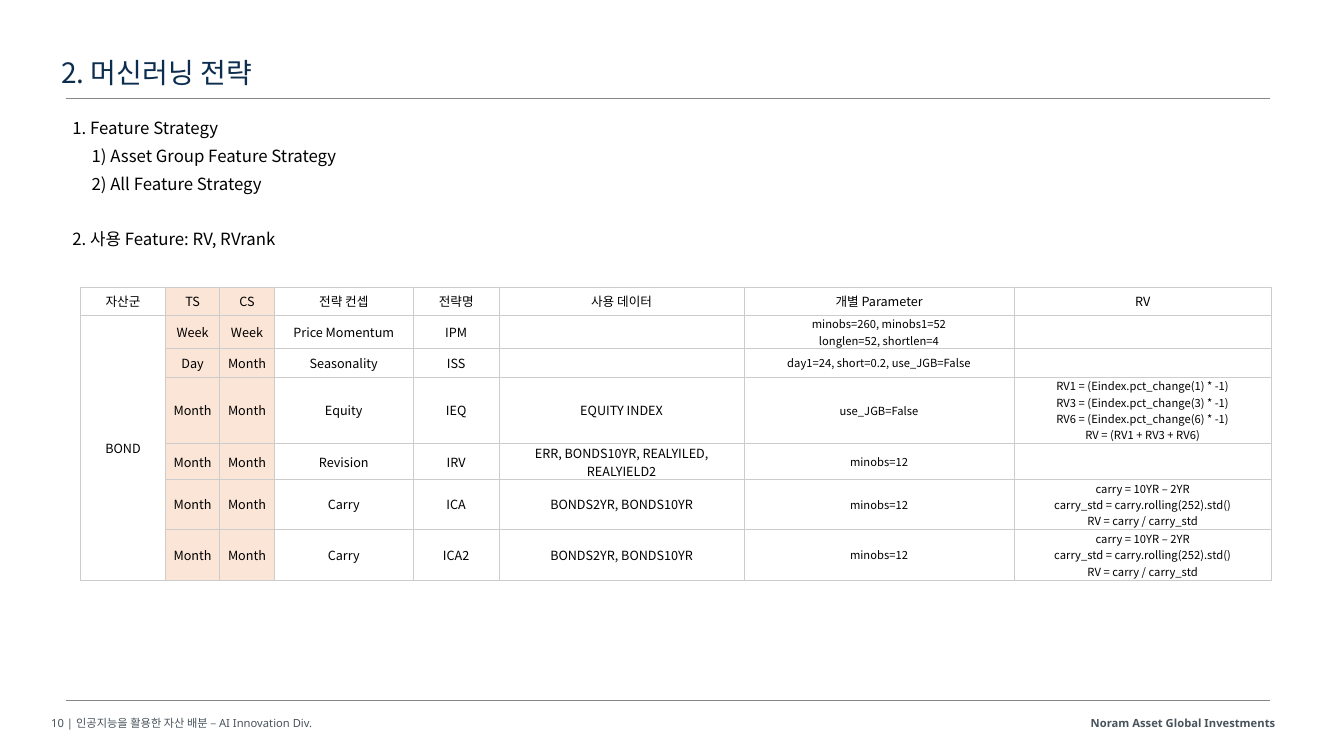
from lxml.etree import SubElement
from pptx import Presentation
from pptx.dml.color import RGBColor
from pptx.enum.shapes import MSO_CONNECTOR
from pptx.enum.text import MSO_ANCHOR, PP_ALIGN
from pptx.oxml.ns import qn
from pptx.util import Inches, Pt

TITLE = "2. 머신러닝 전략"
OUTLINE = [  # text, indent in inches, space before in points
    ("1. Feature Strategy", 0, 6.6),
    ("1) Asset Group Feature Strategy", 0.19, 6.6),
    ("2) All Feature Strategy", 0.19, 6.6),
    ("2. 사용 Feature: RV, RVrank", 0, 26.4),
]
FOOTER = "10 | 인공지능을 활용한 자산 배분 – AI Innovation Div."
COMPANY = "Noram Asset Global Investments"

CARRY_RV = "carry = 10YR – 2YR\ncarry_std = carry.rolling(252).std()\nRV = carry / carry_std"
EQUITY_RV = "\n".join(
    [f"RV{n} = (Eindex.pct_change({n}) * -1)" for n in (1, 3, 6)]
    + ["RV = (RV1 + RV3 + RV6)"])
STRATEGIES = [
    ("자산군", "TS", "CS", "전략 컨셉", "전략명", "사용 데이터", "개별 Parameter", "RV"),
    ("BOND", "Week", "Week", "Price Momentum", "IPM", "",
     "minobs=260, minobs1=52\nlonglen=52, shortlen=4", ""),
    ("", "Day", "Month", "Seasonality", "ISS", "",
     "day1=24, short=0.2, use_JGB=False", ""),
    ("", "Month", "Month", "Equity", "IEQ", "EQUITY INDEX", "use_JGB=False", EQUITY_RV),
    ("", "Month", "Month", "Revision", "IRV",
     "ERR, BONDS10YR, REALYILED, REALYIELD2", "minobs=12", ""),
    ("", "Month", "Month", "Carry", "ICA", "BONDS2YR, BONDS10YR", "minobs=12", CARRY_RV),
    ("", "Month", "Month", "Carry", "ICA2", "BONDS2YR, BONDS10YR", "minobs=12", CARRY_RV),
]
COL_WIDTHS = [0.84, 0.54, 0.54, 1.38, 0.85, 2.43, 2.68, 2.55]
ROW_HEIGHTS = [0.28, 0.33, 0.28, 0.66, 0.36, 0.49, 0.51]
FREQUENCY_COLS = (1, 2)
DETAIL_COLS = (6, 7)

SANS = "Noto Sans"
KOREAN = "Noto Sans CJK KR"
BLACK = RGBColor(0x00, 0x00, 0x00)
NAVY = RGBColor(0x0D, 0x2D, 0x4F)
SLATE = RGBColor(0x48, 0x53, 0x5B)
RULE_GRAY = RGBColor(0x83, 0x87, 0x8A)
BORDER_GRAY = RGBColor(0xCC, 0xCC, 0xCC)
PEACH = RGBColor(0xFB, 0xE5, 0xD6)


def add_run(p, text, size, font=KOREAN, color=BLACK, bold=False):
    r = p.add_run()
    r.text = text
    r.font.size, r.font.name, r.font.bold = Pt(size), font, bold
    r.font.color.rgb = color
    latin = r.font._element.find(qn("a:latin"))
    ea = SubElement(r.font._element, qn("a:ea"), typeface=KOREAN)
    latin.addnext(ea)


def add_text_box(s, left, top, width, height):
    box = s.shapes.add_textbox(Inches(left), Inches(top), Inches(width), Inches(height))
    box.text_frame.word_wrap = True
    return box.text_frame


def add_rule(s, y):
    line = s.shapes.add_connector(
        MSO_CONNECTOR.STRAIGHT, Inches(0.65), Inches(y), Inches(12.6), Inches(y))
    line.line.color.rgb = RULE_GRAY
    line.line.width = Pt(0.5)
    SubElement(line._element.spPr, qn("a:effectLst"))


def add_borders(cell):
    tc_pr = cell._tc.get_or_add_tcPr()
    for side in ("L", "R", "T", "B"):
        ln = SubElement(tc_pr, qn(f"a:ln{side}"), w=str(Pt(0.75)))
        fill = SubElement(ln, qn("a:solidFill"))
        SubElement(fill, qn("a:srgbClr"), val=str(BORDER_GRAY))


def fill_cell(cell, text, size, shaded):
    cell.margin_left = cell.margin_right = Inches(0.01)
    cell.margin_top = cell.margin_bottom = 0
    cell.vertical_anchor = MSO_ANCHOR.MIDDLE
    add_borders(cell)
    if shaded:
        cell.fill.solid()
        cell.fill.fore_color.rgb = PEACH
    else:
        cell.fill.background()
    tf = cell.text_frame
    for i, line in enumerate(text.split("\n")):
        p = tf.add_paragraph() if i else tf.paragraphs[0]
        p.alignment = PP_ALIGN.CENTER
        if line:
            add_run(p, line, size)
        else:
            SubElement(p._p, qn("a:endParaRPr"), sz=str(size * 100))


def add_strategy_table(s):
    frame = s.shapes.add_table(
        len(ROW_HEIGHTS), len(COL_WIDTHS), Inches(0.8), Inches(2.85),
        Inches(sum(COL_WIDTHS)), Inches(sum(ROW_HEIGHTS)))
    table = frame.table
    table.first_row = table.horz_banding = False
    for col, width in zip(table.columns, COL_WIDTHS):
        col.width = Inches(width)
    for row, height in zip(table.rows, ROW_HEIGHTS):
        row.height = Inches(height)
    for i, values in enumerate(STRATEGIES):
        for j, text in enumerate(values):
            size = 8 if i and j in DETAIL_COLS else 9
            fill_cell(table.cell(i, j), text, size, j in FREQUENCY_COLS)
    table.cell(1, 0).merge(table.cell(len(STRATEGIES) - 1, 0))


def main():
    prs = Presentation()
    prs.slide_width, prs.slide_height = Inches(13.33), Inches(7.5)
    s = prs.slides.add_slide(prs.slide_layouts[6])

    p = add_text_box(s, 8.76, 7.06, 3.99, 0.3).paragraphs[0]
    p.alignment = PP_ALIGN.RIGHT
    add_run(p, COMPANY, 8, SANS, SLATE, bold=True)
    for y in (6.95, 0.98):
        add_rule(s, y)
    p = add_text_box(s, 0.41, 7.06, 4.97, 0.3).paragraphs[0]
    add_run(p, FOOTER, 8, SANS, SLATE)

    tf = add_text_box(s, 0.51, 0.58, 8.48, 0.45)
    tf.margin_top = Inches(0.01)
    p = tf.paragraphs[0]
    p.line_spacing = 0.9
    add_run(p, TITLE, 20, color=NAVY)

    tf = add_text_box(s, 0.62, 1.14, 12, 5.76)
    for i, (text, indent, before) in enumerate(OUTLINE):
        p = tf.add_paragraph() if i else tf.paragraphs[0]
        p.line_spacing, p.space_before = Pt(13.2), Pt(before)
        if indent:
            p._p.get_or_add_pPr().set("marL", str(Inches(indent)))
        add_run(p, text, 12)

    add_strategy_table(s)
    prs.save("out.pptx")


if __name__ == "__main__":
    main()
